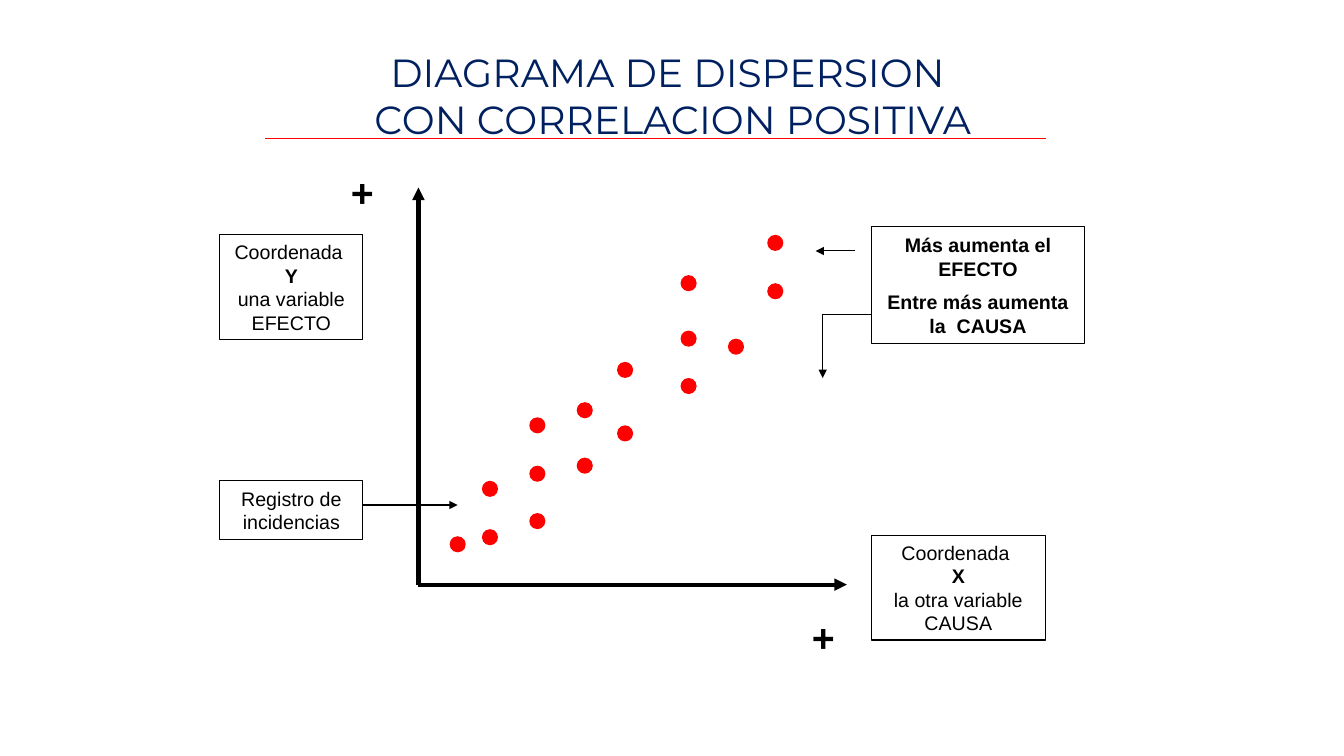
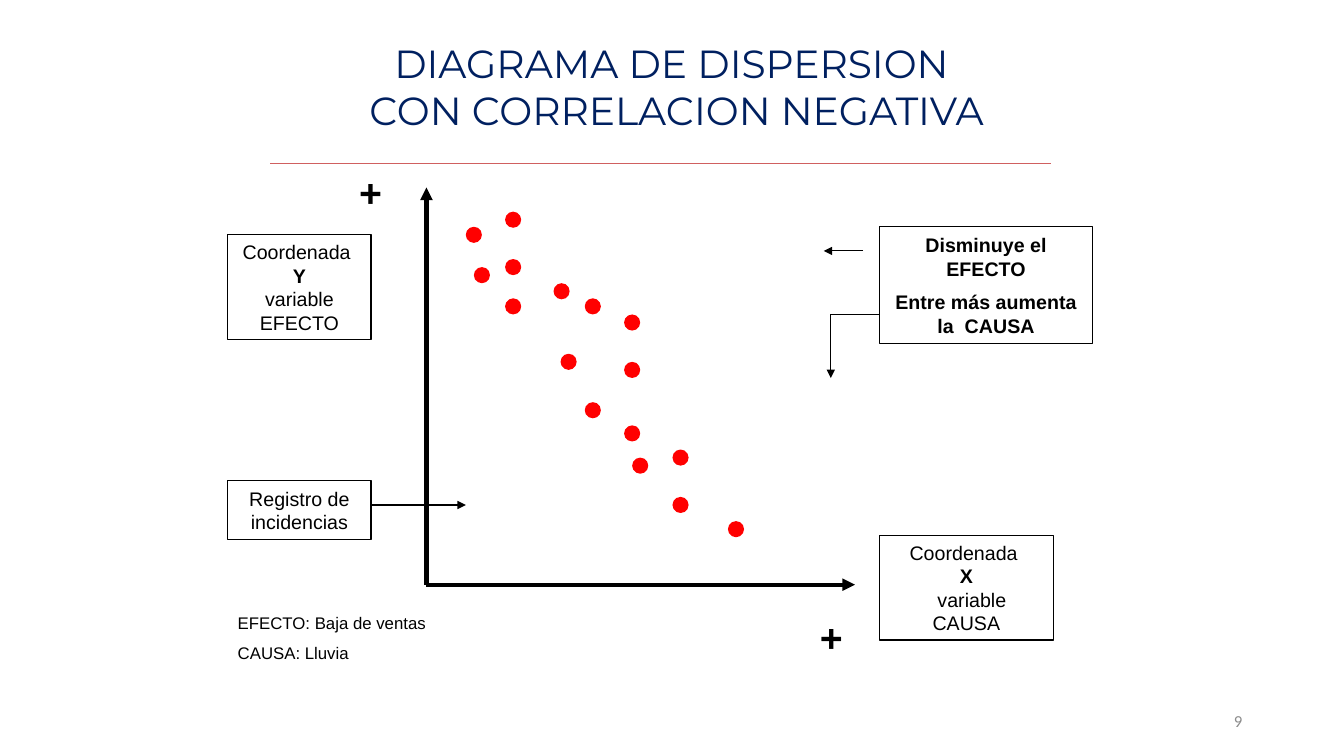
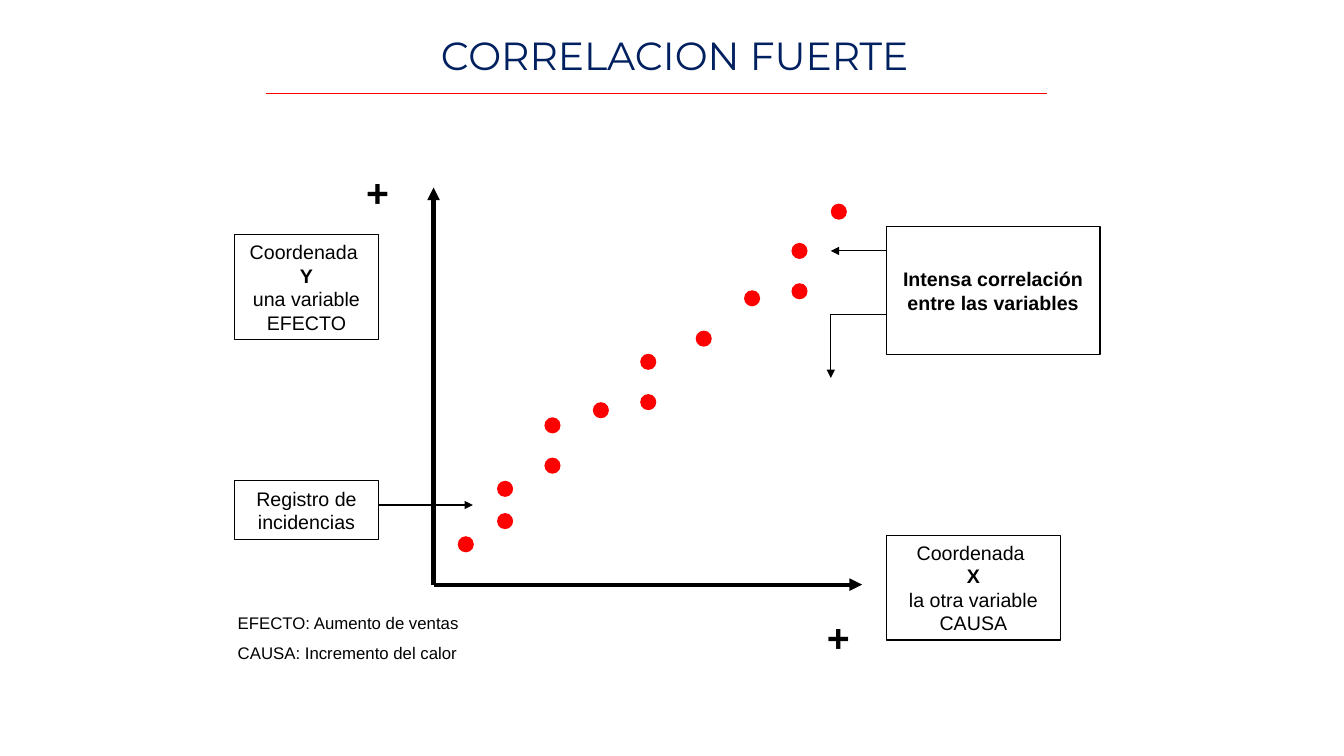
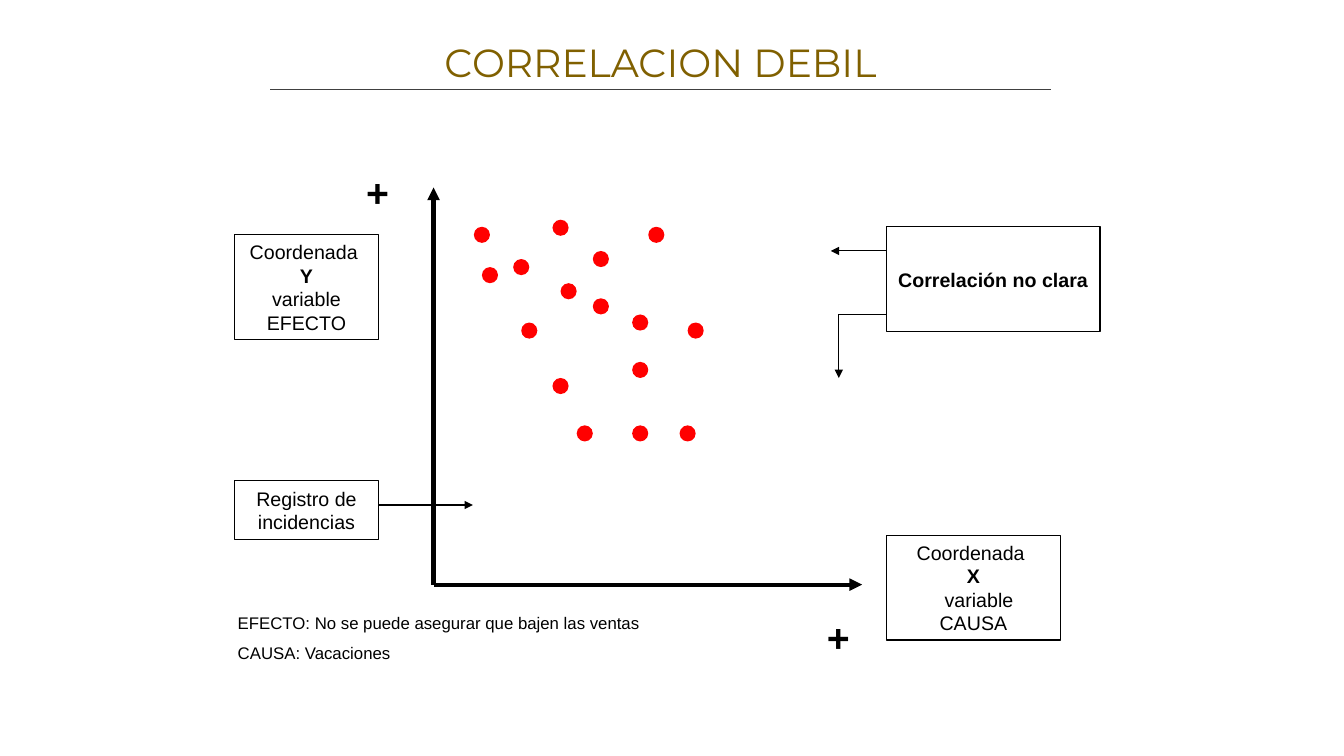
from lxml import etree
from pptx import Presentation
from pptx.dml.color import RGBColor
from pptx.enum import shapes, text
from pptx.oxml.ns import qn
from pptx.util import Inches, Pt

BLACK = RGBColor(0x00, 0x00, 0x00)
RED = RGBColor(0xFF, 0x00, 0x00)
NAVY = RGBColor(0x00, 0x20, 0x60)
OLIVE = RGBColor(0x80, 0x60, 0x00)
GREY = RGBColor(0x8C, 0x8C, 0x8C)
CHARCOAL = RGBColor(0x40, 0x40, 0x40)
ROSE = RGBColor(0xD0, 0x60, 0x60)

CENTER = text.PP_ALIGN.CENTER
LEFT = text.PP_ALIGN.LEFT
RIGHT = text.PP_ALIGN.RIGHT
DOT = 0.16
AXIS_Y = 5.8
RULE_WIDTH = 7.74

SLIDES = [
    dict(
        title=["DIAGRAMA DE DISPERSION ", "CON CORRELACION POSITIVA"],
        title_at=(2.22, 0.43), color=NAVY, rule=(2.63, 1.37, RED),
        axis_x=4.15, effect="una variable", cause="la otra variable",
        callout=["Más aumenta el EFECTO", "Entre más aumenta la  CAUSA"],
        callout_height=1.16, arrow_start=8.48, elbow_x=8.16,
        dots={4.46: [5.32], 4.78: [4.77, 5.25], 5.25: [5.09, 4.62, 4.14],
              5.72: [4.54, 3.99], 6.12: [4.22, 3.59],
              6.75: [3.75, 3.28, 2.73], 7.22: [3.36], 7.61: [2.81, 2.33]},
    ),
    dict(
        title=["DIAGRAMA DE DISPERSION ", "CON CORRELACION NEGATIVA"],
        title_at=(2.26, 0.34), color=NAVY, rule=(2.68, 1.62, ROSE),
        axis_x=4.23, effect="variable", cause="variable",
        callout=["Disminuye el EFECTO", "Entre más aumenta la  CAUSA"],
        callout_height=1.16, arrow_start=8.56, elbow_x=8.24,
        dots={4.62: [2.25], 4.7: [2.65], 5.01: [2.96, 2.57, 2.1],
              5.49: [2.81], 5.56: [3.51], 5.8: [3.99, 2.96],
              6.19: [3.12, 4.22, 3.59], 6.27: [4.54], 6.67: [4.93, 4.46],
              7.22: [5.17]},
        notes=["EFECTO: Baja de ventas", "CAUSA: Lluvia"],
        number="9",
    ),
    dict(
        title=["CORRELACION FUERTE"],
        title_at=(2.24, 0.26), color=NAVY, rule=(2.64, 0.93, RED),
        axis_x=4.3, effect="una variable", cause="la otra variable",
        callout=["Intensa correlación entre las variables"],
        callout_height=1.27, arrow_start=8.79, elbow_x=8.24,
        dots={4.54: [5.32], 4.93: [4.77, 5.09], 5.4: [4.54, 4.14],
              5.88: [3.99], 6.35: [3.91, 3.51], 6.9: [3.28], 7.38: [2.88],
              7.85: [2.81, 2.41], 8.24: [2.02]},
        notes=["EFECTO: Aumento de ventas", "CAUSA: Incremento del calor"],
    ),
    dict(
        title=["CORRELACION DEBIL"],
        title_at=(2.1, 0.33), color=OLIVE, rule=(2.68, 0.89, CHARCOAL),
        axis_x=4.3, effect="variable", cause="variable",
        callout=["Correlación no clara"],
        callout_height=1.04, arrow_start=8.79, elbow_x=8.32,
        dots={4.7: [2.25], 4.78: [2.65], 5.09: [2.57], 5.17: [3.2],
              5.48: [3.75, 2.18], 5.56: [2.81], 5.72: [4.22],
              5.88: [2.49, 2.96], 6.27: [3.12, 4.22, 3.59], 6.43: [2.25],
              6.74: [4.22], 6.82: [3.2]},
        notes=["EFECTO: No se puede asegurar que bajen las ventas",
               "CAUSA: Vacaciones"],
    ),
]


def place(sp, left, top, width, height):
    sp.left, sp.top = Inches(left), Inches(top)
    sp.width, sp.height = Inches(width), Inches(height)


def write(sp, lines, size=14, font="Arial", color=BLACK, bold=False,
          align=CENTER, before=0):
    tf = sp.text_frame
    tf.word_wrap = True
    tf.auto_size = text.MSO_AUTO_SIZE.NONE
    tf.vertical_anchor = text.MSO_ANCHOR.MIDDLE
    tf.text = "\n".join(lines)
    for i, p in enumerate(tf.paragraphs):
        p.alignment = align
        p.space_before = Pt(before if i else 0)
        for r in p.runs:
            r.font.size, r.font.name, r.font.bold = Pt(size), font, bold
            r.font.color.rgb = color
    return tf


def add_text(s, at, lines, **style):
    sp = s.shapes.add_textbox(*map(Inches, at))
    return write(sp, lines, **style)


def add_box(s, at, lines, **style):
    sp = s.shapes.add_shape(shapes.MSO_SHAPE.RECTANGLE, *map(Inches, at))
    sp.shadow.inherit = False
    sp.fill.background()
    sp.line.color.rgb = BLACK
    sp.line.width = Pt(0.75)
    return write(sp, lines, **style)


def add_line(s, start, end, width=0.75, color=BLACK, arrow=True):
    ln = s.shapes.add_connector(shapes.MSO_CONNECTOR.STRAIGHT,
                                *map(Inches, start + end))
    ln.line.color.rgb = color
    ln.line.width = Pt(width)
    if arrow:
        etree.SubElement(ln.line._get_or_add_ln(), qn("a:tailEnd"),
                         type="triangle")
    etree.SubElement(ln._element.spPr, qn("a:effectLst"))


def add_dot(s, left, top):
    sp = s.shapes.add_shape(shapes.MSO_SHAPE.OVAL, Inches(left), Inches(top),
                            Inches(DOT), Inches(DOT))
    sp.shadow.inherit = False
    sp.fill.solid()
    sp.fill.fore_color.rgb = RED
    sp.line.fill.background()


def add_heading(s, d):
    place(s.shapes.title, *d["title_at"], 8.9, 0.1 + 0.47 * len(d["title"]))
    write(s.shapes.title, d["title"], size=28, font="Montserrat",
          color=d["color"])
    x, y, color = d["rule"]
    add_line(s, (x, y), (x + RULE_WIDTH, y), 0.5, color, arrow=False)


def add_axes(s, d):
    x = d["axis_x"]
    add_line(s, (x, AXIS_Y), (x + 4.25, AXIS_Y), 3)
    add_line(s, (x, AXIS_Y), (x, 1.86), 3)
    for left, top in ((x - 0.87, 1.62), (x + 3.7, 6.03)):
        add_text(s, (left, top, 0.63, 0.57), ["+"], size=28, bold=True)


def add_labels(s, d):
    left, right = d["axis_x"] - 1.97, d["axis_x"] + 4.49
    tf = add_box(s, (left, 2.33, 1.42, 1.04),
                 ["Coordenada ", "Y", d["effect"], "EFECTO"])
    tf.paragraphs[1].runs[0].font.bold = True
    tf = add_box(s, (right, 5.31, 1.73, 1.04),
                 ["Coordenada ", "X", d["cause"], "CAUSA"])
    tf.paragraphs[1].runs[0].font.bold = True
    if d["cause"] == "variable":
        tf.paragraphs[2]._p.get_or_add_pPr().set("marL", str(Inches(0.11)))
    add_box(s, (left, 4.77, 1.42, 0.58), ["Registro de incidencias"])
    add_line(s, (left + 1.42, 5.01), (left + 2.36, 5.01))
    add_box(s, (right, 2.25, 2.12, d["callout_height"]), d["callout"],
            bold=True, before=7)
    elbow = d["elbow_x"]
    add_line(s, (d["arrow_start"], 2.49), (d["axis_x"] + 3.94, 2.49))
    add_line(s, (right, 3.12), (elbow, 3.12), arrow=False)
    add_line(s, (elbow, 3.12), (elbow, 3.75))


def main():
    prs = Presentation()
    prs.slide_width, prs.slide_height = Inches(13.33), Inches(7.5)
    for d in SLIDES:
        s = prs.slides.add_slide(prs.slide_layouts[5])
        add_heading(s, d)
        add_axes(s, d)
        for left, tops in d["dots"].items():
            for top in tops:
                add_dot(s, left, top)
        add_labels(s, d)
        if "notes" in d:
            add_text(s, (2.26, 6.03, 5.67, 0.6), d["notes"], size=12,
                     align=LEFT, before=7)
        if "number" in d:
            add_text(s, (9.42, 6.95, 3, 0.4), [d["number"]], size=12,
                     font="Calibri", color=GREY, align=RIGHT)
    prs.save("out.pptx")


if __name__ == "__main__":
    main()
